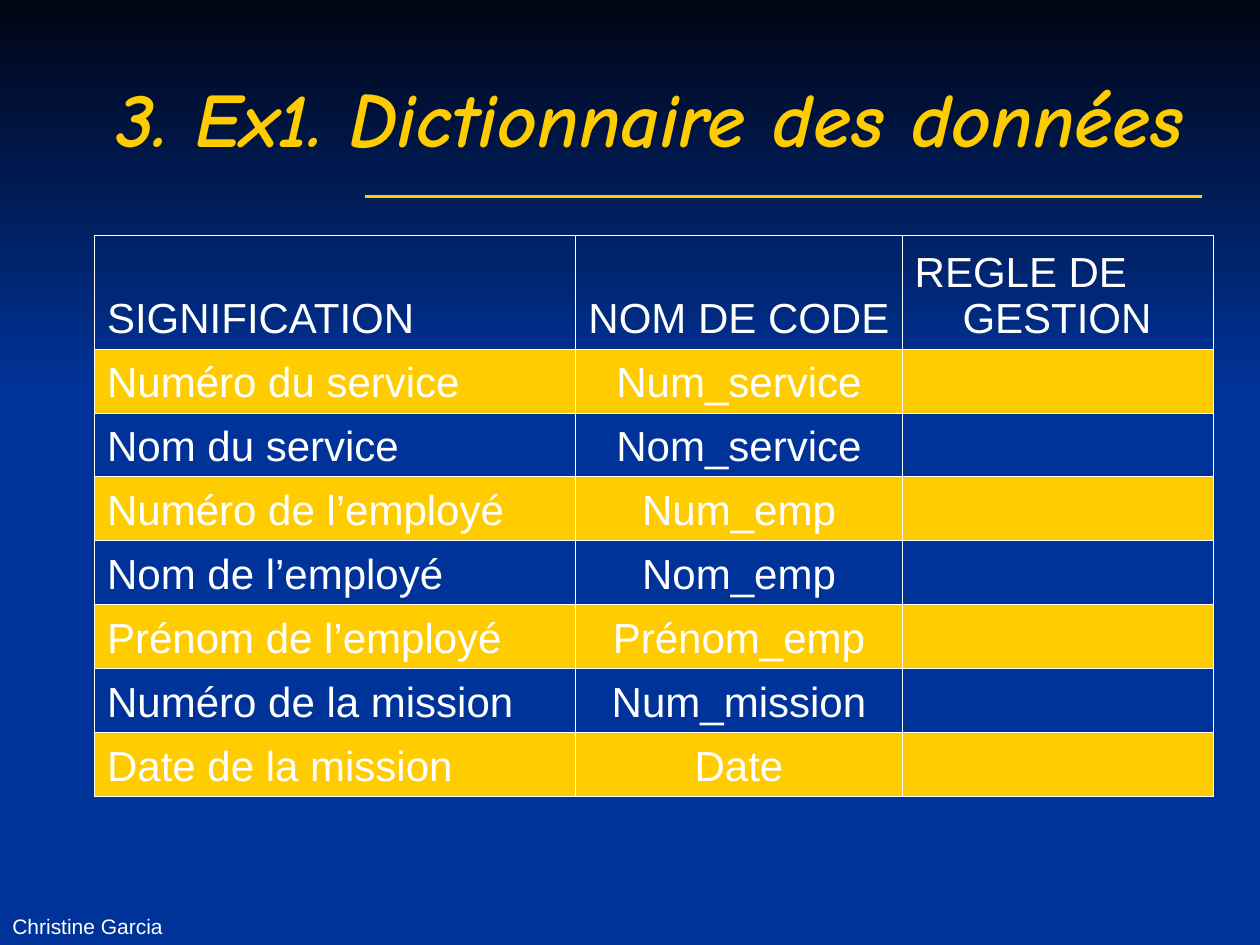
from dataclasses import dataclass
from lxml.etree import SubElement
from pptx import Presentation
from pptx.dml.color import RGBColor
from pptx.enum.shapes import MSO_CONNECTOR as Connector, MSO_SHAPE as Shape
from pptx.enum.text import MSO_ANCHOR as Anchor, MSO_AUTO_SIZE as AutoSize, PP_ALIGN as Align
from pptx.oxml.ns import qn
from pptx.util import Inches, Pt


@dataclass(frozen=True)
class Theme:
    night: RGBColor = RGBColor.from_string("000514")
    blue: RGBColor = RGBColor.from_string("003399")
    gold: RGBColor = RGBColor.from_string("FFCC00")
    white: RGBColor = RGBColor.from_string("FFFFFF")
    title_font: str = "Comic Neue"
    body_font: str = "Arial"
    title_size: int = 44
    table_size: int = 24
    author_size: int = 12
    rule_width: float = 2
    border_width: float = 0.45


THEME = Theme()
COLUMNS = (3.82, 2.59, 2.47)
HEADER_HEIGHT, ROW_HEIGHT = 0.9, 0.5
HANGING = 0.38
ENTRIES = (
    ("SIGNIFICATION", "NOM DE CODE", "REGLE DE GESTION"),
    ("Numéro du service", "Num_service", ""),
    ("Nom du service", "Nom_service", ""),
    ("Numéro de l’employé", "Num_emp", ""),
    ("Nom de l’employé", "Nom_emp", ""),
    ("Prénom de l’employé", "Prénom_emp", ""),
    ("Numéro de la mission", "Num_mission", ""),
    ("Date de la mission", "Date", ""),
)


def write(frame, text, *, size, font=THEME.body_font, color=THEME.white,
          align=Align.LEFT, bold=False, italic=False):
    para = frame.paragraphs[0]
    para.alignment = align
    para.font.size = Pt(size)
    if text:
        span = para.add_run()
        span.text = text
        span.font.name, span.font.size = font, Pt(size)
        span.font.bold, span.font.italic = bold, italic
        span.font.color.rgb = color
    return para


def paint_background(page, width):
    page.background.fill.solid()
    page.background.fill.fore_color.rgb = THEME.blue
    band = page.shapes.add_shape(Shape.RECTANGLE, 0, 0, width, Inches(3.09))
    band.shadow.inherit = False
    band.line.fill.background()
    band.fill.gradient()
    band.fill.gradient_angle = 270
    for stop, color in zip(band.fill.gradient_stops, (THEME.night, THEME.blue)):
        stop.color.rgb = color


def draw_rule(page, left, right, top):
    rule = page.shapes.add_connector(
        Connector.STRAIGHT, Inches(left), Inches(top), Inches(right), Inches(top))
    rule.line.color.rgb = THEME.gold
    rule.line.width = Pt(THEME.rule_width)
    SubElement(rule.element.spPr, qn("a:effectLst"))


def place_title(page, text):
    title = page.shapes.title
    title.left, title.top = Inches(0.5), Inches(0.3)
    title.width, title.height = Inches(9), Inches(1.25)
    title.text_frame.auto_size = AutoSize.NONE
    title.text_frame.vertical_anchor = Anchor.MIDDLE
    write(title.text_frame, text, size=THEME.title_size, font=THEME.title_font,
          color=THEME.gold, align=Align.RIGHT, bold=True, italic=True)
    page.shapes.element.append(title.element)


def border_cell(cell):
    properties = cell._tc.get_or_add_tcPr()
    for side in ("a:lnL", "a:lnR", "a:lnT", "a:lnB"):
        line = SubElement(properties, qn(side), w=str(Pt(THEME.border_width)))
        fill = SubElement(line, qn("a:solidFill"))
        SubElement(fill, qn("a:srgbClr"), val=str(THEME.white))


def fill_cell(cell, text, *, align, shaded):
    border_cell(cell)
    if shaded:
        cell.fill.solid()
        cell.fill.fore_color.rgb = THEME.gold
    else:
        cell.fill.background()
    cell.vertical_anchor = Anchor.BOTTOM
    para = write(cell.text_frame, text, size=THEME.table_size, align=align)
    indent = Inches(HANGING)
    properties = para._p.get_or_add_pPr()
    properties.set("marL", str(indent))
    properties.set("indent", str(-indent))


def add_dictionary(page):
    heights = [HEADER_HEIGHT] + [ROW_HEIGHT] * (len(ENTRIES) - 1)
    table = page.shapes.add_table(
        len(ENTRIES), len(COLUMNS), Inches(0.75), Inches(1.87),
        Inches(sum(COLUMNS)), Inches(sum(heights))).table
    table.first_row = table.horz_banding = False
    for column, width in zip(table.columns, COLUMNS):
        column.width = Inches(width)
    for index, (row, height, entry) in enumerate(zip(table.rows, heights, ENTRIES)):
        row.height = Inches(height)
        for position, (cell, text) in enumerate(zip(row.cells, entry)):
            fill_cell(cell, text, shaded=index % 2 == 1,
                      align=Align.CENTER if position == 1 else Align.LEFT)


def add_author(page, name, page_height):
    height = Inches(0.52)
    box = page.shapes.add_textbox(0, page_height - height, Inches(3.17), height)
    box.text_frame.word_wrap = True
    box.text_frame.vertical_anchor = Anchor.BOTTOM
    write(box.text_frame, name, size=THEME.author_size)


def main():
    deck = Presentation()
    deck.slide_width, deck.slide_height = Inches(10), Inches(7.5)
    page = deck.slides.add_slide(deck.slide_layouts.get_by_name("Title Only"))
    paint_background(page, deck.slide_width)
    draw_rule(page, 2.9, 9.54, 1.56)
    place_title(page, "3. Ex1. Dictionnaire des données")
    add_dictionary(page)
    add_author(page, "Christine Garcia", deck.slide_height)
    deck.save("out.pptx")


if __name__ == "__main__":
    main()
